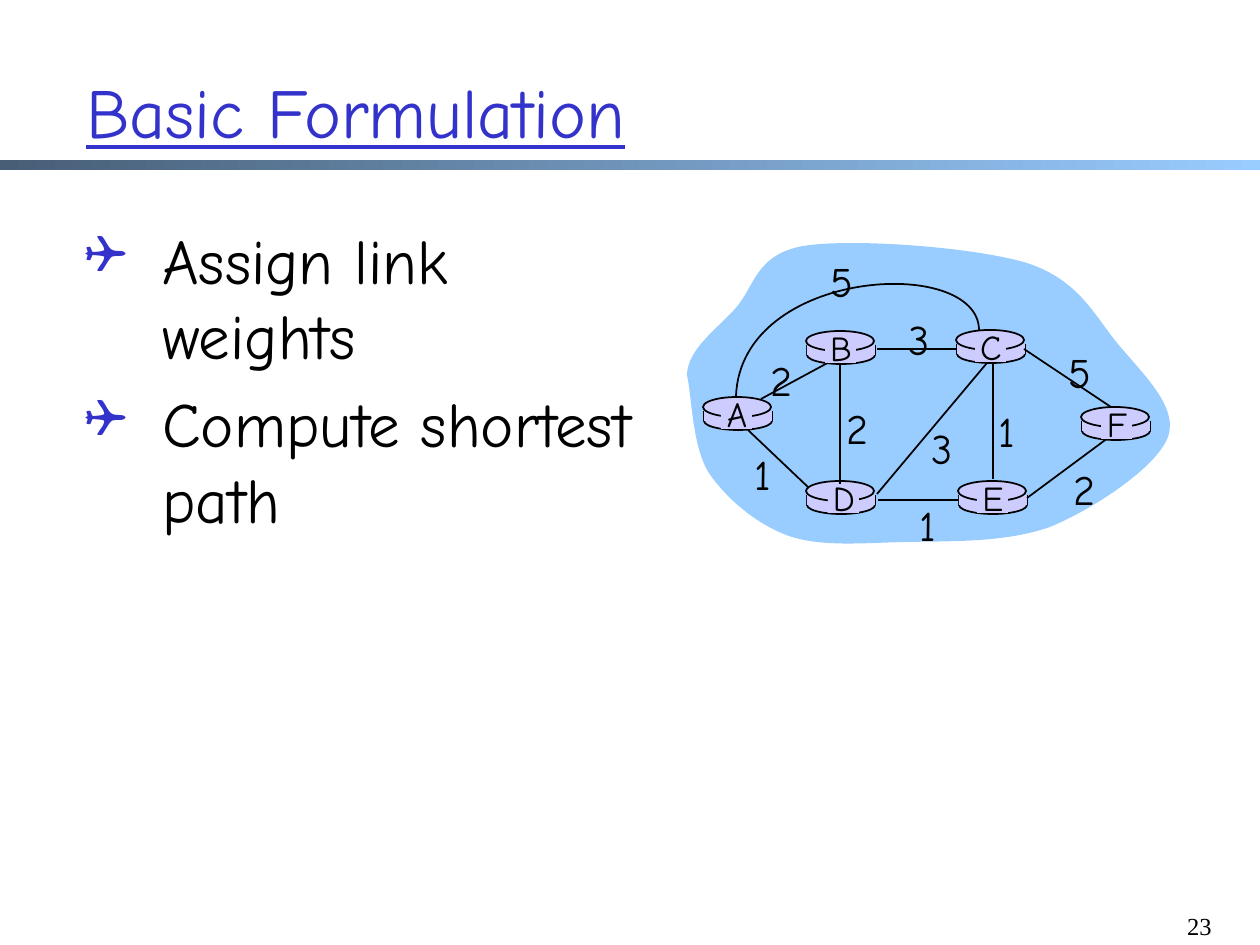
"""Builds the slide on link weights and shortest paths in a six-router network."""
from lxml import etree
from pptx import Presentation
from pptx import util as u
from pptx.dml.color import RGBColor
from pptx.enum import shapes, text
from pptx.oxml.ns import qn

TITLE = "Basic Formulation"
BULLETS = ["Assign link weights", "Compute shortest path"]
PAGE_NUMBER = "23"

CLOUD = [
    (687, 375),
    (688, 349), (716, 330), (735, 309),
    (755, 287), (755, 255), (803, 246),
    (852, 238), (974, 247), (1027, 263),
    (1079, 280), (1094, 315), (1118, 344),
    (1142, 373), (1179, 407), (1168, 437),
    (1157, 467), (1094, 509), (1050, 527),
    (1005, 543), (948, 541), (905, 542),
    (861, 543), (822, 547), (789, 536),
    (756, 524), (727, 499), (709, 473),
    (692, 446), (692, 396), (687, 375),
]
ARC = [(979, 330), (978, 255), (741, 268), (736, 396)]
# name, left, top, label offset
ROUTERS = [
    ("A", 703, 397, 18), ("D", 806, 481, 22), ("B", 806, 331, 19),
    ("C", 956, 330, 19), ("E", 958, 481, 19), ("F", 1081, 407, 20),
]
BACK_LINKS = [(761, 399, 835, 359)]
FRONT_LINKS = [
    (993, 364, 993, 479), (840, 365, 840, 484), (877, 494, 987, 363),
    (1027, 498, 1108, 438), (958, 500, 878, 500), (809, 488, 748, 430),
    (956, 349, 877, 349), (1111, 407, 1024, 349),
]
WEIGHTS = [
    ("2", 782, 348), ("2", 858, 396), ("1", 763, 442), ("3", 942, 416),
    ("1", 928, 493), ("1", 1007, 399), ("2", 1085, 457), ("5", 1080, 340),
    ("3", 919, 307), ("5", 842, 249),
]
THEME = {
    "ink": RGBColor.from_string("000000"),
    "accent": RGBColor.from_string("3333CC"),
    "cloud": RGBColor.from_string("99CCFF"),
    "router": RGBColor.from_string("CCCCFF"),
    "bar": RGBColor.from_string("475E76"),
    "font": "Comic Neue", "number_font": "Times New Roman", "bullet_font": "Wingdings",
    "title": 40, "body": 36, "weight": 24, "name": 20, "number": 14,
}
RECT, OVAL = shapes.MSO_SHAPE.RECTANGLE, shapes.MSO_SHAPE.OVAL
SCALE = u.Inches(1) / 126


def px(*lengths):
    return [u.Emu(round(length * SCALE)) for length in lengths]


def add_block(page, kind, frame, fill, outlined=False):
    block = page.shapes.add_shape(kind, *px(*frame))
    paint(block, fill, outlined)
    return block


def paint(block, fill, outlined):
    block.shadow.inherit = False
    if fill is None:
        block.fill.background()
    else:
        block.fill.solid()
        block.fill.fore_color.rgb = fill
    if outlined:
        block.line.color.rgb = THEME["ink"]
        block.line.width = u.Pt(1)
    else:
        block.line.fill.background()


def add_line(page, *ends):
    line = page.shapes.add_connector(shapes.MSO_CONNECTOR.STRAIGHT, *px(*ends))
    line.line.color.rgb = THEME["ink"]
    line.line.width = u.Pt(1)
    etree.SubElement(line._element.spPr, qn("a:effectLst"))


def add_curve(page, knots, fill=None, outlined=False):
    first, *rest = [px(*knot) for knot in knots]
    builder = page.shapes.build_freeform(*first)
    builder.add_line_segments(rest, close=fill is not None)
    curve = builder.convert_to_shape()
    segments = list(curve._element.iter(qn("a:lnTo")))
    for start in range(0, len(rest), 3):
        bend = etree.Element(qn("a:cubicBezTo"))
        segments[start].addprevious(bend)
        for segment in segments[start:start + 3]:
            bend.append(segment[0])
            segment.getparent().remove(segment)
    paint(curve, fill, outlined)


def add_text(page, frame, lines, size, color="ink", font="font", align=text.PP_ALIGN.LEFT,
             wrap=True, bullet=None):
    box = page.shapes.add_textbox(*px(*frame))
    box.text_frame.word_wrap = wrap
    box.text_frame.text = "\n".join(lines)
    for index, para in enumerate(box.text_frame.paragraphs):
        para.alignment = align
        if bullet:
            add_bullet(para, bullet)
        if index:
            para.space_before = u.Pt(THEME[size] * 0.2)
        para.font.size = u.Pt(THEME[size])
        para.font.name = THEME[font]
        para.font.color.rgb = THEME[color]
    return box


def add_bullet(para, mark):
    props = para._p.get_or_add_pPr()
    indent = px(78)[0]
    props.set("marL", str(indent))
    props.set("indent", str(-indent))
    color = etree.SubElement(props, qn("a:buClr"))
    etree.SubElement(color, qn("a:srgbClr"), val=str(THEME["accent"]))
    etree.SubElement(props, qn("a:buSzPct"), val="85000")
    etree.SubElement(props, qn("a:buFont"), typeface=THEME["bullet_font"])
    etree.SubElement(props, qn("a:buChar"), char=mark)


def add_router(page, left, top):
    add_block(page, OVAL, (left + 1, top + 15, 68, 18), THEME["router"], True)
    for side in (left + 1, left + 69):
        add_line(page, side, top + 14, side, top + 24)
    add_block(page, RECT, (left + 1, top + 14, 68, 10), THEME["router"])
    add_block(page, OVAL, (left, top, 68, 20), THEME["router"], True)


def add_label(page, label, center, top, size):
    add_text(page, (center - 24, top, 48, 52), [label], size,
             align=text.PP_ALIGN.CENTER, wrap=False)


def add_network(page):
    add_curve(page, CLOUD, THEME["cloud"])
    for link in BACK_LINKS:
        add_line(page, *link)
    for _, left, top, _ in ROUTERS:
        add_router(page, left, top)
    for link in FRONT_LINKS:
        add_line(page, *link)
    add_curve(page, ARC, outlined=True)
    for name, left, top, offset in ROUTERS:
        add_block(page, RECT, (left + offset, top + 3, 31, 29), THEME["router"])
        add_label(page, name, left + offset + 16, top - 11, "name")
    for weight, center, top in WEIGHTS:
        add_label(page, weight, center, top, "weight")


def main():
    deck = Presentation()
    deck.slide_width, deck.slide_height = px(1260, 945)
    page = deck.slides.add_slide(deck.slide_layouts[6])

    bar = add_block(page, RECT, (0, 160, 1260, 10), THEME["bar"])
    bar.fill.gradient()
    bar.fill.gradient_angle = 0
    for stop, color in zip(bar.fill.gradient_stops, ("bar", "cloud")):
        stop.color.rgb = THEME[color]

    add_text(page, (1165, 905, 59, 40), [PAGE_NUMBER], "number", font="number_font",
             align=text.PP_ALIGN.RIGHT)
    title = add_text(page, (74, 32, 1106, 157), [TITLE], "title", color="accent")
    title.text_frame.vertical_anchor = text.MSO_ANCHOR.MIDDLE
    title.text_frame.paragraphs[0].font.underline = True
    add_text(page, (72, 215, 590, 479), BULLETS, "body", bullet="❑")
    add_network(page)
    deck.save("out.pptx")


if __name__ == "__main__":
    main()
